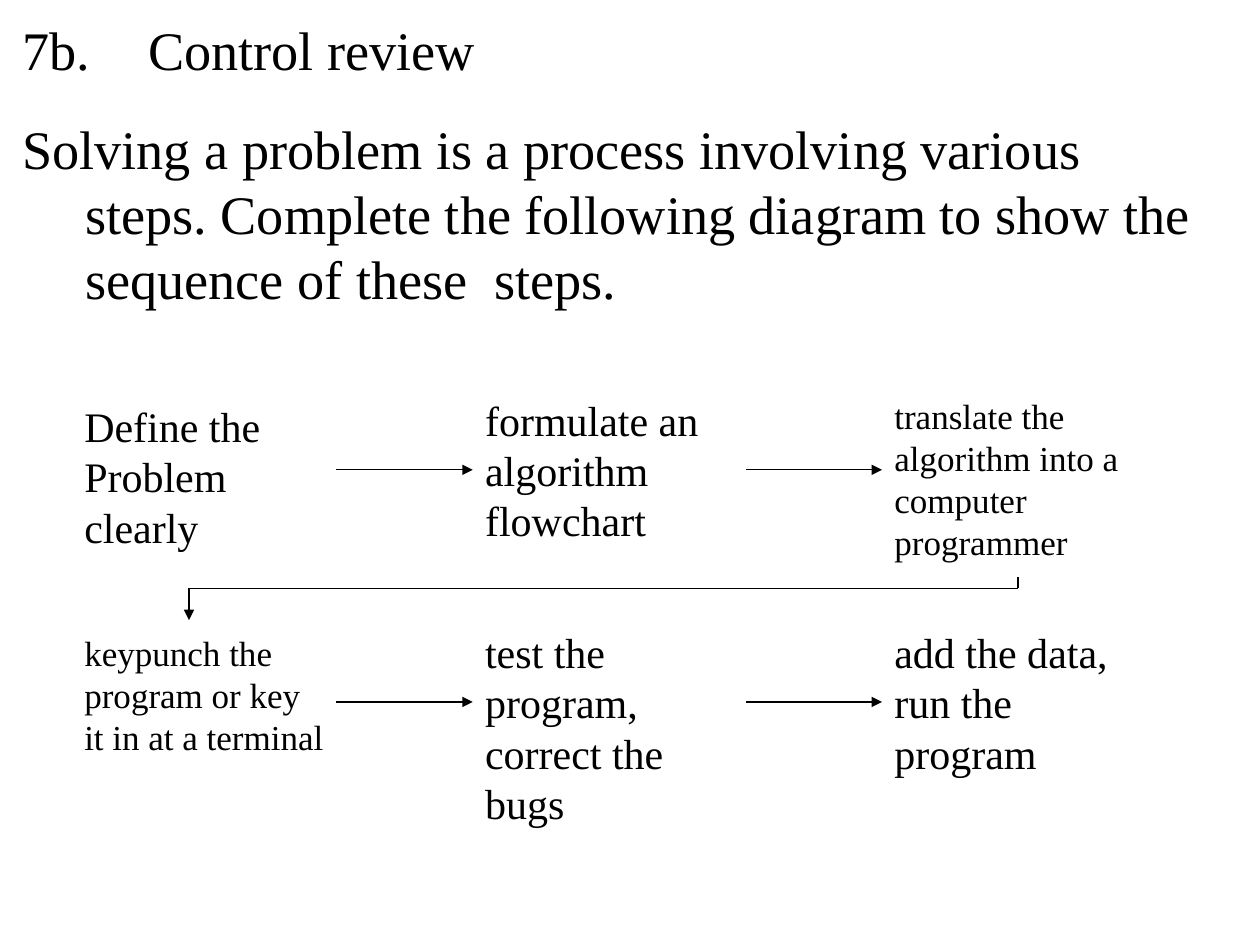
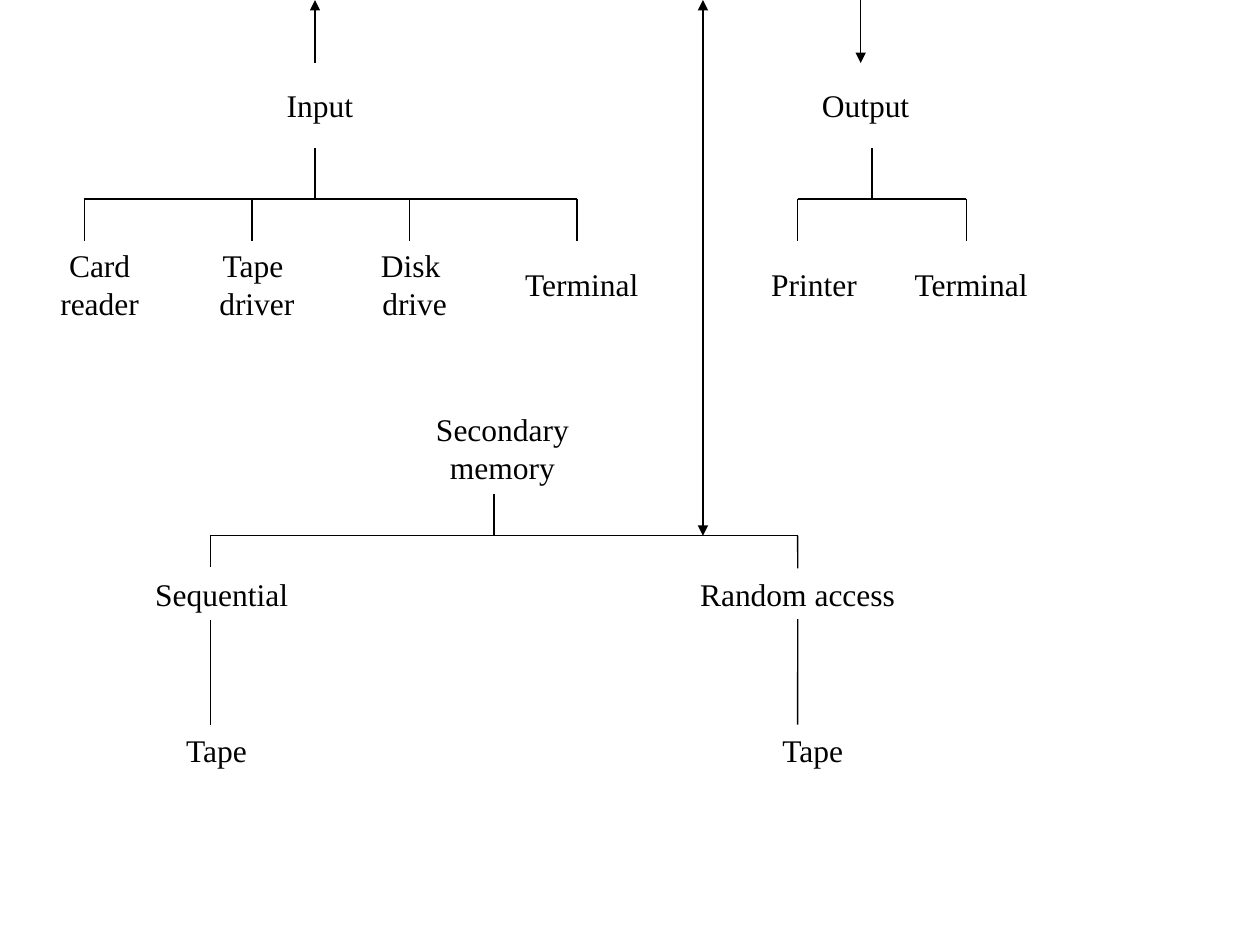
from pptx import Presentation
from pptx.dml.color import RGBColor
from pptx.enum.shapes import MSO_CONNECTOR as Link, MSO_SHAPE as Form
from pptx.enum.text import MSO_ANCHOR as Anchor, PP_ALIGN as Align
from pptx.oxml.ns import qn
from pptx.util import Cm, Pt
from lxml.etree import SubElement

BLACK = RGBColor(0, 0, 0)
WHITE = RGBColor(255, 255, 255)


def write(frame, text, size=18, align=Align.LEFT, anchor=Anchor.TOP,
          wrap=True, hang=0, tab=0, gap=0):
    """Fill a frame, one paragraph per line; hang and tab are in cm, gap in points."""
    frame.word_wrap = wrap
    frame.vertical_anchor = anchor
    for i, line in enumerate(text.split("\n")):
        para = frame.add_paragraph() if i else frame.paragraphs[0]
        para.add_run().text = line
        para.alignment = align
        if i and gap:
            para.space_before = Pt(gap)
        props = para._p.get_or_add_pPr()
        if hang:
            props.set("marL", str(Cm(hang)))
            props.set("indent", str(-Cm(hang)))
        if tab:
            stops = SubElement(props, qn("a:tabLst"))
            SubElement(stops, qn("a:tab"), pos=str(Cm(tab)), algn="l")
        font = para.font
        font.name, font.size = "Times New Roman", Pt(size)
        font.color.rgb = BLACK


class Deck:
    """Holds the file, the shared look and the slide being drawn."""
    pen = Pt(0.75)

    def __init__(self):
        self.file = Presentation()
        self.file.slide_width, self.file.slide_height = Cm(25.4), Cm(19.05)

    def page(self):
        slide = self.file.slides.add_slide(self.file.slide_layouts[6])
        self.shapes = slide.shapes

    def text(self, x, y, w, h, text, **style):
        box = self.shapes.add_textbox(Cm(x), Cm(y), Cm(w), Cm(h))
        write(box.text_frame, text, **style)

    def box(self, x, y, w, h, text, fill=None, **style):
        box = self.shapes.add_shape(Form.RECTANGLE, Cm(x), Cm(y), Cm(w), Cm(h))
        box.shadow.inherit = False
        if fill is None:
            box.fill.background()
        else:
            box.fill.solid()
            box.fill.fore_color.rgb = fill
        box.line.color.rgb = WHITE
        box.line.width = self.pen
        write(box.text_frame, text, **style)
        return box

    def node(self, x, y, text):
        self.box(x, y, 2.74, 1.7, text, fill=WHITE, align=Align.CENTER,
                 anchor=Anchor.MIDDLE, wrap=False)

    def line(self, x1, y1, x2, y2, heads=()):
        """Draw a line; heads lists "headEnd" for the start, "tailEnd" for the end."""
        line = self.shapes.add_connector(Link.STRAIGHT, Cm(x1), Cm(y1), Cm(x2), Cm(y2))
        line.line.color.rgb = BLACK
        line.line.width = self.pen
        stroke = line.line._get_or_add_ln()
        for head in heads:
            SubElement(stroke, qn("a:" + head), type="triangle")
        SubElement(line._element.spPr, qn("a:effectLst"))
        return line

    def arrow(self, x1, y1, x2, y2):
        return self.line(x1, y1, x2, y2, ["tailEnd"])

    def fork(self, x, top, bar, foot, drops):
        """Draw a stem, a bar and the drops below it; return the drops."""
        self.line(x, top, x, bar)
        self.line(drops[0], bar, drops[-1], bar)
        return [self.line(drop, bar, drop, foot) for drop in drops]


def review(deck):
    deck.page()
    deck.text(0.2, 0.2, 24.13, 12.19,
              "7b.\tControl review\n"
              "Solving a problem is a process involving various steps. Complete the "
              "following diagram to show the sequence of these  steps.",
              size=31, hang=1.27, tab=2.54, gap=19.4)
    left, mid, right = 1.45, 9.53, 17.78
    wide = 5.33
    deck.box(left, 7.95, wide, 3.3, "Define the\nProblem\nclearly", size=24)
    plan = deck.box(mid, 7.82, wide, 3.3, "formulate an algorithm flowchart", size=24)
    deck.box(right, 7.82, wide, 3.66,
             "translate the algorithm into a computer programmer", size=20)
    deck.box(left, 12.6, wide, 2.79,
             "keypunch the program or key it in at a terminal", size=20)
    deck.box(mid, 12.5, 5.51, 4.32, "test the program, correct the bugs", size=24)
    run = deck.box(right, 12.5, wide, 3.3, "add the data, run the program", size=24)

    upper, lower = [[deck.arrow(start, y, end, y)
                     for start, end in ((6.78, mid), (15.04, right))]
                    for y in (9.47, 14.15)]
    upper[0].end_connect(plan, 1)
    lower[1].end_connect(run, 1)

    deck.line(20.52, 11.63, 20.52, 11.86)
    deck.line(20.52, 11.86, 3.81, 11.86)
    deck.arrow(3.81, 11.86, 3.81, 12.5)


def devices(deck):
    deck.page()
    bar, foot = 4.01, 4.88
    deck.fork(6.35, 2.97, bar, foot, [1.7, 5.08, 8.26, 11.63])
    deck.fork(17.58, 2.97, bar, foot, [16.08, 19.48])
    for x, name in ((5.08, "Input"), (16.08, "Output")):
        deck.node(x, 1.27, name)
    for x, name in ((0.64, "Card\nreader"), (3.81, "Tape \ndriver"),
                    (6.99, "Disk \ndrive"), (10.36, "Terminal"),
                    (15.04, "Printer"), (18.21, "Terminal")):
        deck.node(x, foot, name)

    deck.box(7.77, 8.15, 4.72, 1.78, "Secondary\nmemory", align=Align.CENTER)
    kinds = [deck.box(x, 11.46, 4.72, 1.02, name, align=Align.CENTER)
             for x, name in ((2.11, "Sequential"), (13.72, "Random access"))]
    for x in (2.97, 14.99):
        deck.box(x, 14.61, 2.79, 1.02, "Tape", align=Align.CENTER)
    drops = [4.24, 16.08]
    tops = deck.fork(9.96, 9.96, 10.8, 11.43, drops)
    stems = [deck.line(x, 12.5, x, 14.61) for x in drops]
    tops[1].end_connect(kinds[1], 0)
    stems[1].begin_connect(kinds[1], 2)

    deck.line(14.17, 10.8, 14.17, 0, ["headEnd", "tailEnd"])
    deck.arrow(6.35, 1.27, 6.35, 0)
    deck.arrow(17.35, 0, 17.35, 1.27)


def main():
    deck = Deck()
    review(deck)
    devices(deck)
    deck.file.save("out.pptx")


if __name__ == "__main__":
    main()
